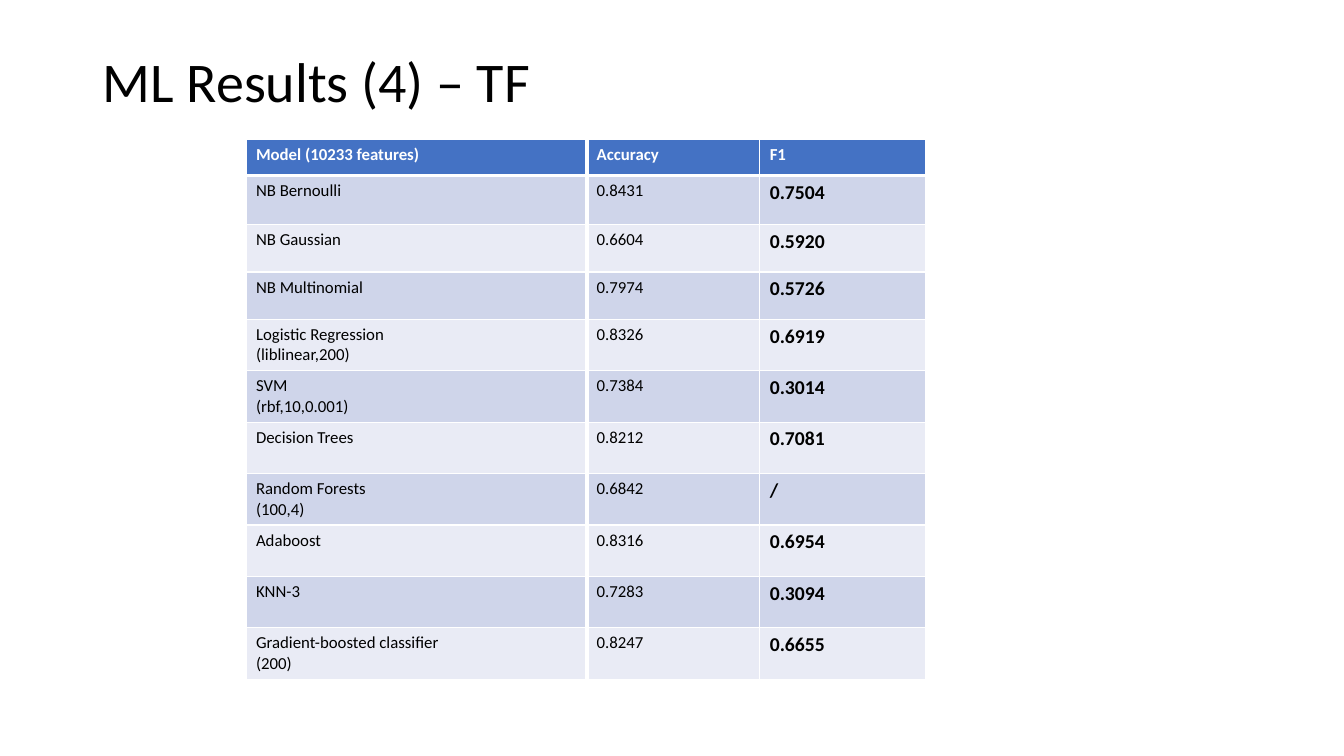
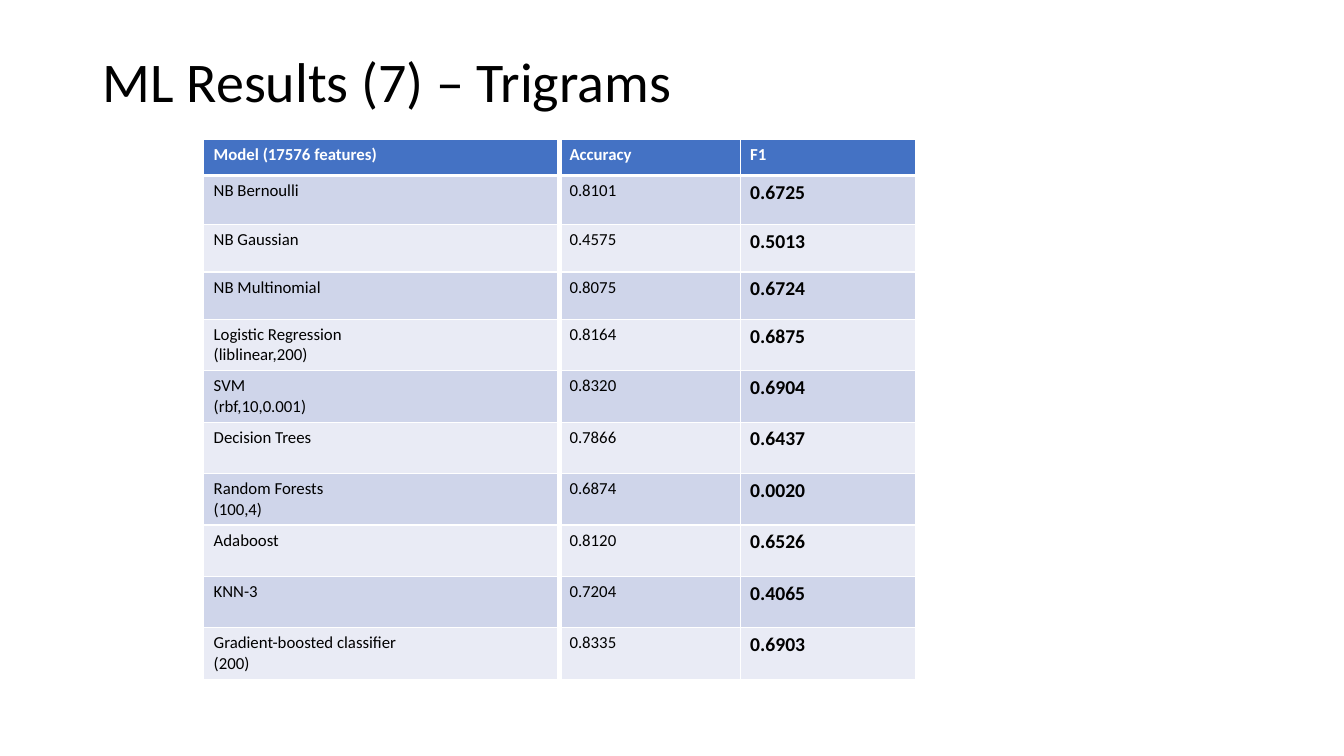
from lxml import etree
from pptx import Presentation
from pptx.dml.color import RGBColor
from pptx.enum.shapes import MSO_CONNECTOR
from pptx.enum.text import MSO_ANCHOR, MSO_AUTO_SIZE, PP_ALIGN
from pptx.oxml.ns import qn
from pptx.util import Inches, Pt

STRAIGHT = MSO_CONNECTOR.STRAIGHT
MIDDLE = MSO_ANCHOR.MIDDLE
NO_AUTOFIT = MSO_AUTO_SIZE.NONE
LEFT = PP_ALIGN.LEFT

SLIDE_W, SLIDE_H = Inches(13.33), Inches(7.5)
FONT = "Calibri"
BLACK, WHITE = "000000", "FFFFFF"
HEADER_FILL = "4472C4"
BAND_FILLS = ("CFD5EA", "E9EBF5")
THIN, THICK = 1, 3

TABLE_TOP, RULE_BOTTOM = 18.4, 91.73
COLUMN_SHARES = (0.5, 0.25, 0.25)
COLUMN_SHARES = (0.5, 0.254, 0.246)
ROW_HEIGHTS = [4.8, 6.53] + [6.27] * 2 + [6.8] * 7

MODELS = (
    "NB Bernoulli", "NB Gaussian", "NB Multinomial",
    "Logistic Regression\n(liblinear,200)", "SVM\n(rbf,10,0.001)",
    "Decision Trees", "Random Forests\n(100,4)", "Adaboost", "KNN-3",
    "Gradient-boosted classifier\n(200)",
)

RESULTS = (
    {
        "title": "ML Results (4) – TF", "features": 10233,
        "left": 18.3, "width": 50.7, "right_rule": 68.95,
        "accuracy": "0.8431 0.6604 0.7974 0.8326 0.7384 "
                    "0.8212 0.6842 0.8316 0.7283 0.8247",
        "f1": "0.7504 0.5920 0.5726 0.6919 0.3014 "
              "0.7081 / 0.6954 0.3094 0.6655",
    },
    {
        "title": "ML Results (7) – Trigrams", "features": 17576,
        "left": 15.15, "width": 52.95, "right_rule": 72,
        "accuracy": "0.8101 0.4575 0.8075 0.8164 0.8320 "
                    "0.7866 0.6874 0.8120 0.7204 0.8335",
        "f1": "0.6725 0.5013 0.6724 0.6875 0.6904 "
              "0.6437 0.0020 0.6526 0.4065 0.6903",
    },
)


def x(percent):
    return round(SLIDE_W * percent / 100)


def y(percent):
    return round(SLIDE_H * percent / 100)


def rgb(color):
    return RGBColor.from_string(color)


def add_run(p, text, size, color, bold=False):
    r = p.add_run()
    r.text = text
    r.font.name = FONT
    r.font.size = Pt(size)
    r.font.bold = bold
    r.font.color.rgb = rgb(color)


def add_title(s, text):
    sp = s.shapes.title
    sp.left, sp.top, sp.width, sp.height = x(6.9), y(1.47), x(86.25), y(19.33)
    tf = sp.text_frame
    tf.auto_size = NO_AUTOFIT
    tf.vertical_anchor = MIDDLE
    p = tf.paragraphs[0]
    p.alignment = LEFT
    p.line_spacing = 0.9
    add_run(p, text, 40, BLACK)


def set_borders(cell, top, bottom):
    tc_pr = cell._tc.get_or_add_tcPr()
    for side, width in (("L", THIN), ("R", THIN), ("T", top), ("B", bottom)):
        ln = etree.SubElement(tc_pr, qn(f"a:ln{side}"), w=str(Pt(width)))
        fill = etree.SubElement(ln, qn("a:solidFill"))
        etree.SubElement(fill, qn("a:srgbClr"), val=WHITE)


def fill_cell(cell, text, row, col):
    header = row == 0
    set_borders(cell, THICK if row == 1 else THIN, THICK if header else THIN)
    cell.fill.solid()
    cell.fill.fore_color.rgb = rgb(HEADER_FILL if header else BAND_FILLS[(row - 1) % 2])
    score = col == 2 and not header
    tf = cell.text_frame
    for i, line in enumerate(text.split("\n")):
        p = tf.add_paragraph() if i else tf.paragraphs[0]
        add_run(p, line, 14 if score else 12, WHITE if header else BLACK, header or score)


def add_results_table(s, result):
    header = (f"Model ({result['features']} features)", "Accuracy", "F1")
    rows = [header, *zip(MODELS, result["accuracy"].split(), result["f1"].split())]
    table = s.shapes.add_table(
        len(rows), len(header), x(result["left"]), y(TABLE_TOP),
        x(result["width"]), y(sum(ROW_HEIGHTS))).table
    for column, share in zip(table.columns, COLUMN_SHARES):
        column.width = x(result["width"] * share)
    for i, (values, height) in enumerate(zip(rows, ROW_HEIGHTS)):
        table.rows[i].height = y(height)
        for j, value in enumerate(values):
            fill_cell(table.cell(i, j), value, i, j)


def add_rule(s, at):
    line = s.shapes.add_connector(STRAIGHT, x(at), y(TABLE_TOP), x(at), y(RULE_BOTTOM))
    line.line.color.rgb = rgb(WHITE)
    line.line.width = Pt(THICK)
    etree.SubElement(line._element.spPr, qn("a:effectLst"))


def add_results_slide(prs, result):
    s = prs.slides.add_slide(prs.slide_layouts[5])
    add_title(s, result["title"])
    add_results_table(s, result)
    add_rule(s, result["right_rule"])
    add_rule(s, result["left"] + result["width"] * COLUMN_SHARES[0])


def main():
    prs = Presentation()
    prs.slide_width, prs.slide_height = SLIDE_W, SLIDE_H
    for result in RESULTS:
        add_results_slide(prs, result)
    prs.save("out.pptx")


if __name__ == "__main__":
    main()
